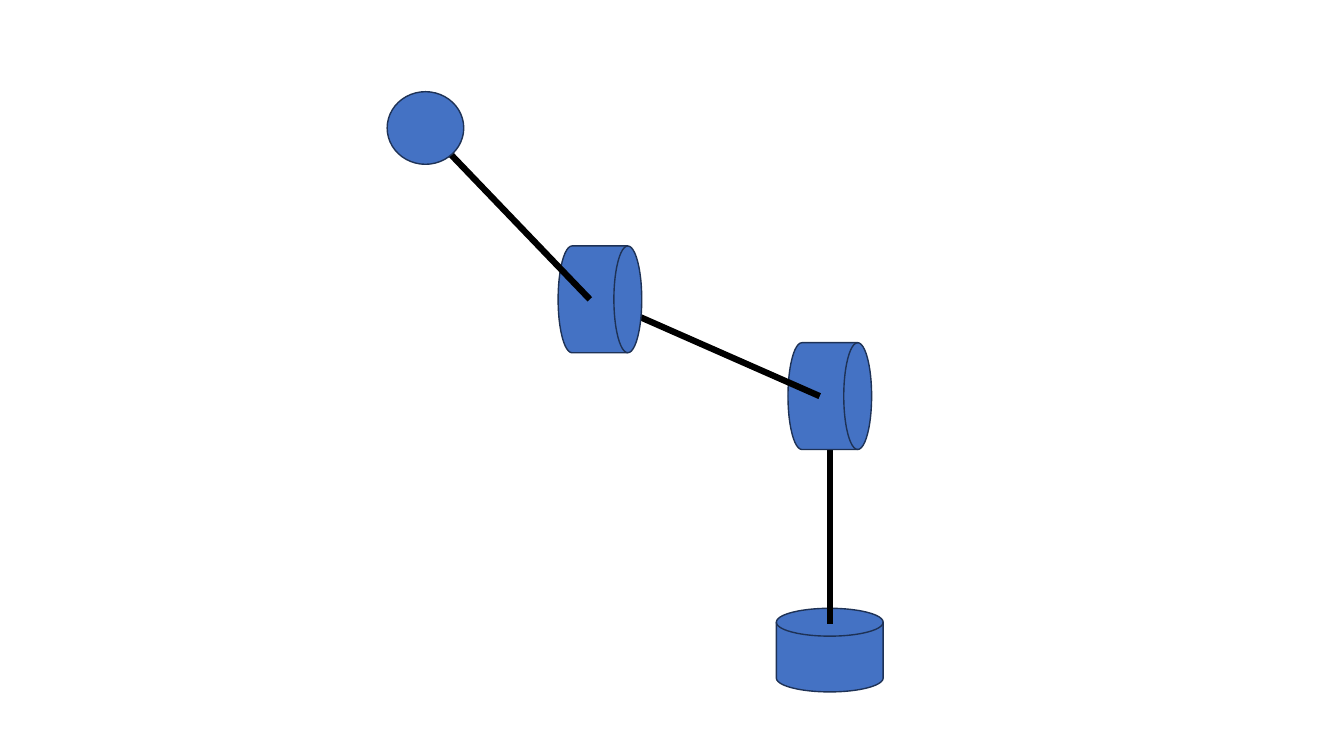
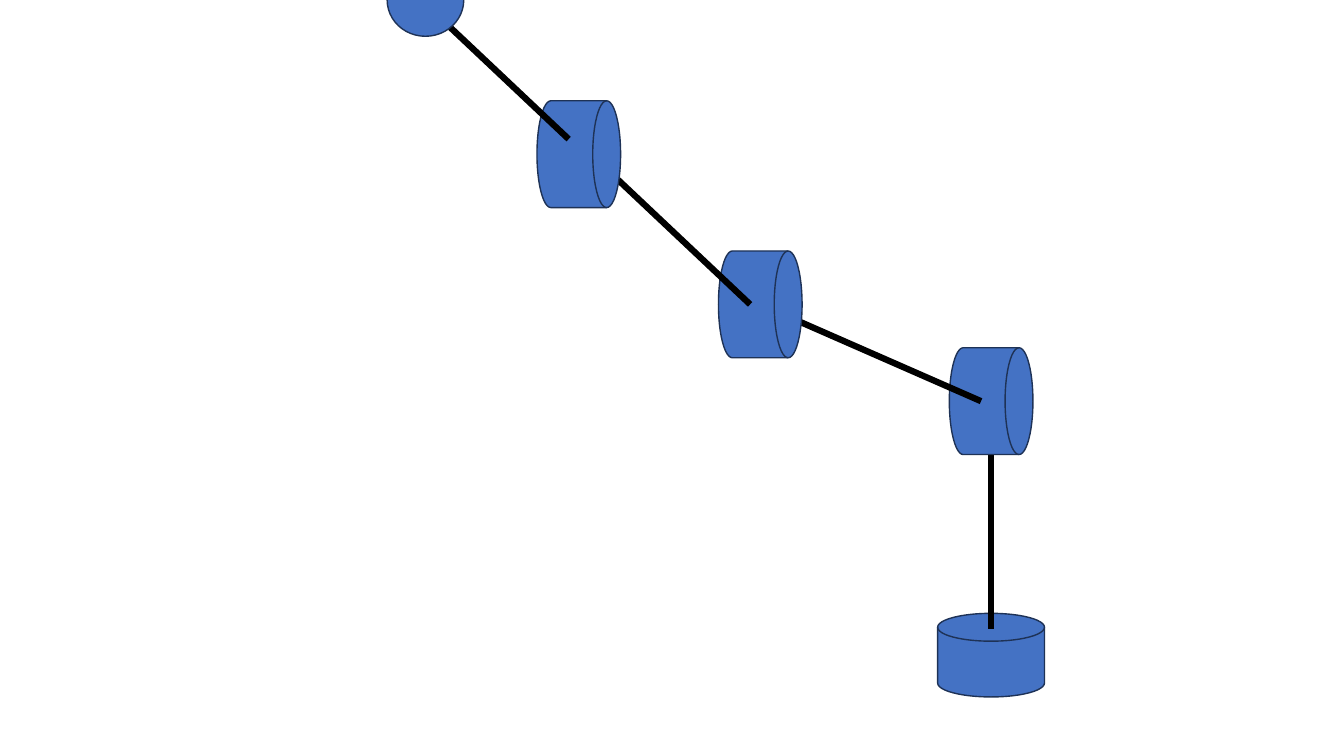
from pptx import Presentation
from pptx.dml.color import RGBColor
from pptx.enum.shapes import MSO_CONNECTOR, MSO_SHAPE
from pptx.oxml.ns import qn
from pptx.util import Inches, Pt
from lxml.etree import SubElement

BLUE = RGBColor(0x44, 0x72, 0xC4)
NAVY = RGBColor(0x1E, 0x32, 0x56)
BLACK = RGBColor(0, 0, 0)

# Content: each arm from its base to its tip, on a grid of square cells.
# A part has a kind and a centre, then the offsets from that centre
# at which the link from below arrives and the next link leaves.
CELL = Inches(1)
COLUMNS, ROWS = 13.33, 7.5
ON_CENTRE, ON_LID, ON_SIDE = (0, 0), (0, -0.26), (-0.1, 0)

ARMS = [
    [("base", (8.23, 6.45), ON_CENTRE, ON_LID),
     ("joint", (8.23, 3.93), ON_CENTRE, ON_SIDE),
     ("joint", (5.95, 2.97), ON_CENTRE, ON_SIDE),
     ("tip", (4.22, 1.27), ON_CENTRE, ON_CENTRE)],
    [("base", (9.83, 6.5), ON_CENTRE, ON_LID),
     ("joint", (9.83, 3.98), ON_CENTRE, ON_SIDE),
     ("joint", (7.54, 3.02), ON_CENTRE, ON_SIDE),
     ("joint", (5.74, 1.53), (0.28, 0.15), (-0.1, -0.15)),
     ("tip", (4.22, 0), (0, 0.04), ON_CENTRE)],
]

# Kind of part: preset shape, width and height in cells, rotation
KINDS = {
    "base": (MSO_SHAPE.FLOWCHART_MAGNETIC_DISK, 1.06, 0.83, 0),
    "joint": (MSO_SHAPE.FLOWCHART_MAGNETIC_DISK, 1.06, 0.83, 90),
    "tip": (MSO_SHAPE.OVAL, 0.76, 0.72, 0),
}


def cells(*counts):
    return [int(count * CELL) for count in counts]


def shifted(centre, offset):
    return centre[0] + offset[0], centre[1] + offset[1]


def add_part(slide, kind, centre):
    preset, width, height, rotation = KINDS[kind]
    left, top = centre[0] - width / 2, centre[1] - height / 2
    part = slide.shapes.add_shape(preset, *cells(left, top, width, height))
    part.rotation = rotation
    part.shadow.inherit = False
    part.fill.solid()
    part.fill.fore_color.rgb = BLUE
    part.line.color.rgb = NAVY
    part.line.width = Pt(1)


def add_link(slide, start, end):
    link = slide.shapes.add_connector(MSO_CONNECTOR.STRAIGHT, *cells(*start, *end))
    link.line.color.rgb = BLACK
    link.line.width = Pt(4.5)
    SubElement(link._element.spPr, qn("a:effectLst"))


def add_arm(slide, arm):
    # Each part covers the end of the link that reaches it
    link_start = None
    for kind, centre, arrives, leaves in arm:
        if link_start:
            add_link(slide, link_start, shifted(centre, arrives))
        add_part(slide, kind, centre)
        link_start = shifted(centre, leaves)


# Slides
deck = Presentation()
deck.slide_width, deck.slide_height = cells(COLUMNS, ROWS)
blank = deck.slide_layouts[6]
for arm in ARMS:
    add_arm(deck.slides.add_slide(blank), arm)

deck.save("out.pptx")
